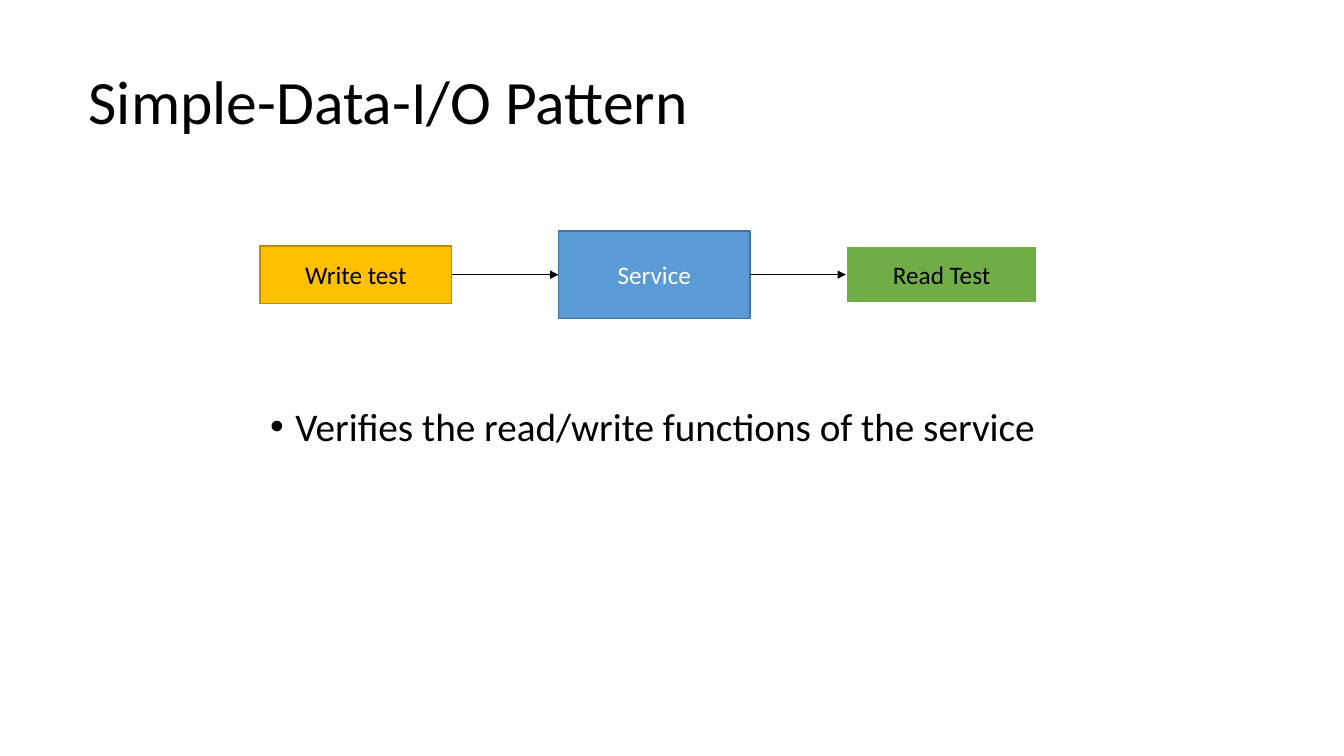
from dataclasses import dataclass

from pptx import Presentation
from pptx.dml.color import RGBColor
from pptx.enum.shapes import MSO_CONNECTOR, MSO_SHAPE
from pptx.enum.text import MSO_ANCHOR, MSO_AUTO_SIZE, PP_ALIGN
from pptx.oxml.ns import qn
from pptx.util import Inches, Pt

RECT = MSO_SHAPE.RECTANGLE
LINE = MSO_CONNECTOR.STRAIGHT
LEFT, MID = PP_ALIGN.LEFT, PP_ALIGN.CENTER
TOP, CENTER = MSO_ANCHOR.TOP, MSO_ANCHOR.MIDDLE
FIXED = MSO_AUTO_SIZE.NONE


@dataclass(frozen=True)
class Theme:
    font: str = "Calibri"
    head: int = 44
    body: int = 28
    label: int = 18
    black: str = "000000"
    white: str = "FFFFFF"
    blue: str = "5B9BD5"
    navy: str = "43739E"
    gold: str = "FFC000"
    brown: str = "BD8E00"
    green: str = "70AD47"


THEME = Theme()


def color(code):
    return RGBColor.from_string(code)


def write(shape, text, size, ink=THEME.black, align=LEFT, anchor=TOP,
          space=1.0, bullet=None):
    frame = shape.text_frame
    frame.word_wrap = True
    frame.auto_size = FIXED
    frame.vertical_anchor = anchor
    frame.text = text
    para = frame.paragraphs[0]
    para.alignment = align
    para.line_spacing = space
    para.space_before = Pt(0)
    if bullet:
        props = para._p.get_or_add_pPr()
        props.set("marL", str(Inches(0.25)))
        props.set("indent", str(Inches(-0.25)))
        face = props.makeelement(qn("a:buFont"), {"typeface": "Arial"})
        mark = props.makeelement(qn("a:buChar"), {"char": bullet})
        props.extend([face, mark])
    font = para.runs[0].font
    font.name = THEME.font
    font.size = Pt(size)
    font.color.rgb = color(ink)


def place(shape, box):
    shape.left, shape.top, shape.width, shape.height = map(Inches, box)


def add_title(slide, box):
    title = slide.shapes.title
    place(title, box)
    write(title, "Simple-Data-I/O Pattern", THEME.head, anchor=CENTER,
          space=0.9)


def add_list(slide, box):
    body = slide.placeholders[1]
    place(body, box)
    write(body, "Verifies the read/write functions of the service",
          THEME.body, space=0.9, bullet="•")


def add_node(slide, box, text, fill, edge, weight, ink):
    node = slide.shapes.add_shape(RECT, *map(Inches, box))
    node.shadow.inherit = False
    node.fill.solid()
    node.fill.fore_color.rgb = color(fill)
    node.line.color.rgb = color(edge)
    node.line.width = Pt(weight)
    write(node, text, THEME.label, ink, MID, CENTER)
    return node


def add_arrow(slide, start, end):
    arrow = slide.shapes.add_connector(LINE, 0, 0, 0, 0)
    arrow.begin_connect(start, 3)
    arrow.end_connect(end, 1)
    arrow.line.color.rgb = color(THEME.black)
    arrow.line.width = Pt(0.5)
    props = arrow._element.spPr
    edge = arrow.line._get_or_add_ln()
    edge.append(edge.makeelement(qn("a:tailEnd"), {"type": "triangle"}))
    props.append(props.makeelement(qn("a:effectLst"), {}))


def add_flow(slide, box):
    left, top, width, height = box
    wide = 1.9
    steps = [
        (0, 0.57, "Write test", THEME.gold, THEME.brown, 1, THEME.black),
        (2.96, height, "Service", THEME.blue, THEME.navy, 1, THEME.white),
        (width - wide, 0.57, "Read Test", THEME.green, THEME.white, 1.5,
         THEME.black),
    ]
    nodes = []
    for shift, tall, *look in steps:
        spot = (left + shift, top + (height - tall) / 2, wide, tall)
        nodes.append(add_node(slide, spot, *look))
    for start, end in zip(nodes, nodes[1:]):
        add_arrow(slide, start, end)


def main():
    deck = Presentation()
    deck.slide_width = Inches(13.33)
    deck.slide_height = Inches(7.5)
    slide = deck.slides.add_slide(deck.slide_layouts[1])
    add_title(slide, (0.78, 0.6, 11.56, 0.87))
    add_list(slide, (2.58, 3.99, 8.1, 3.51))
    add_flow(slide, (2.58, 2.29, 7.71, 0.87))
    deck.save("out.pptx")


if __name__ == "__main__":
    main()
